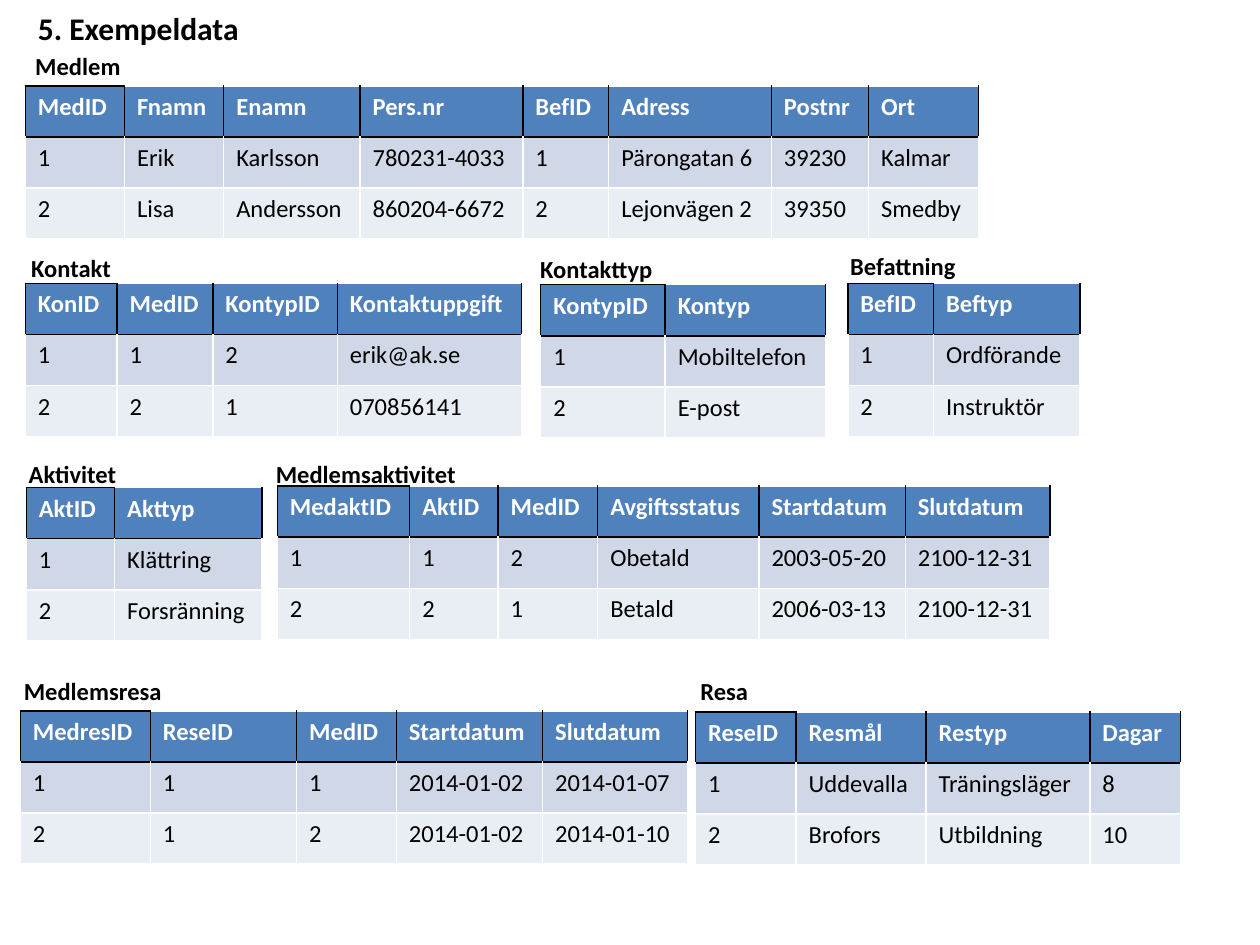
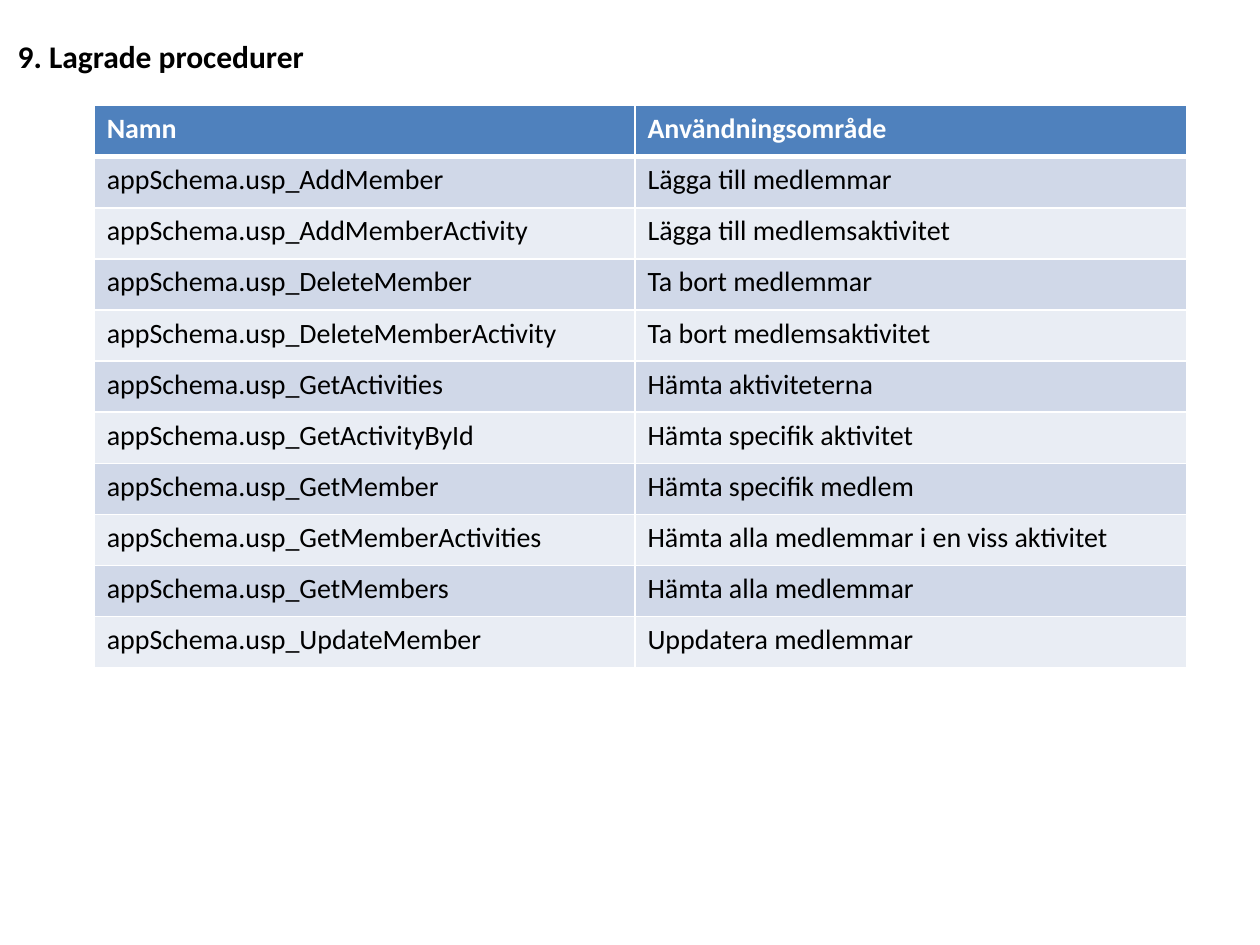
from dataclasses import dataclass

import pptx
import pptx.dml.color
import pptx.enum.text
import pptx.oxml
import pptx.oxml.ns
import pptx.util
from pptx.util import Cm

# Shared look
FONT = "Calibri"
BLACK, WHITE, BLUE = "000000", "FFFFFF", "4F81BD"
BANDS = ("D0D8E8", "E9EDF4")
ROW = 1.03
LABEL = 0.86
TITLE = (18.01, 1.02)


@dataclass
class Grid:
    """A table: place and column widths in cm, text rows, header first."""
    left: float
    top: float
    cols: list[float]
    rows: list[list[str]]
    size: int = 14
    boxed: bool = True


@dataclass
class Label:
    """The bold name above a table, placed in cm."""
    text: str
    left: float
    top: float
    width: float = 3.81


def paint(target, color: str) -> None:
    """Give a font or a fill one colour."""
    rgb = pptx.dml.color.RGBColor.from_string(color)
    if hasattr(target, "solid"):
        target.solid()
        target.fore_color.rgb = rgb
    else:
        target.color.rgb = rgb


def write(frame, text: str, size: int, color: str, bold: bool) -> None:
    para = frame.paragraphs[0]
    para.alignment = pptx.enum.text.PP_ALIGN.LEFT
    run = para.add_run()
    run.text = text
    run.font.name = FONT
    run.font.size = pptx.util.Pt(size)
    run.font.bold = bold
    paint(run.font, color)


def edge(cell, side: str, color: str, width: float) -> None:
    """Draw one border of a cell; side is L, R, T or B."""
    space = pptx.oxml.ns.nsdecls("a")
    line = pptx.oxml.parse_xml(
        f'<a:ln{side} {space} w="{int(pptx.util.Pt(width))}"><a:solidFill>'
        f'<a:srgbClr val="{color}"/></a:solidFill></a:ln{side}>')
    cell._tc.get_or_add_tcPr().append(line)


def border(cell, row: int, col: int, boxed: bool) -> None:
    """Black header box or white header rule, white lines elsewhere."""
    head = BLACK if boxed else WHITE
    rule = 1 if boxed else 3
    side = head if row == 0 else WHITE
    edge(cell, "L", side, 1)
    edge(cell, "R", side, 1)
    if row == 0:
        edge(cell, "T", head if col == 0 else WHITE, 1)
        edge(cell, "B", head, rule)
    else:
        edge(cell, "T", *((head, rule) if row == 1 else (WHITE, 1)))
        edge(cell, "B", WHITE, 1)


def add_grid(slide, grid: Grid) -> None:
    frame = slide.shapes.add_table(
        len(grid.rows), len(grid.cols), Cm(grid.left), Cm(grid.top),
        Cm(sum(grid.cols)), Cm(ROW * len(grid.rows)))
    table = frame.table
    for col, width in zip(table.columns, grid.cols):
        col.width = Cm(width)
    for r, texts in enumerate(grid.rows):
        table.rows[r].height = Cm(ROW)
        head = r == 0
        for c, text in enumerate(texts):
            cell = table.cell(r, c)
            border(cell, r, c, grid.boxed)
            paint(cell.fill, BLUE if head else BANDS[(r - 1) % 2])
            write(cell.text_frame, text, grid.size,
                  WHITE if head else BLACK, head)


def add_label(slide, label: Label) -> None:
    box = slide.shapes.add_textbox(Cm(label.left), Cm(label.top),
                                   Cm(label.width), Cm(LABEL))
    box.text_frame.word_wrap = True
    write(box.text_frame, label.text, 14, BLACK, True)


def add_slide(deck, title: str, left: float, top: float):
    """Start a title-only slide with its title in place."""
    slide = deck.slides.add_slide(deck.slide_layouts[5])
    shape = slide.shapes.title
    shape.left, shape.top = Cm(left), Cm(top)
    shape.width, shape.height = (Cm(n) for n in TITLE)
    frame = shape.text_frame
    frame.word_wrap = True
    frame.auto_size = pptx.enum.text.MSO_AUTO_SIZE.NONE
    frame.vertical_anchor = pptx.enum.text.MSO_ANCHOR.TOP
    write(frame, title, 18, BLACK, True)
    return slide


# Sample data, one label and table per relation
SAMPLES = [
    (Label("Medlem", 0.46, 0.91), Grid(
        0.51, 1.73, [2.0, 2.0, 2.75, 3.28, 1.73, 3.28, 1.96, 2.22], [
            ["MedID", "Fnamn", "Enamn", "Pers.nr", "BefID", "Adress",
             "Postnr", "Ort"],
            ["1", "Erik", "Karlsson", "780231-4033", "1", "Pärongatan 6",
             "39230", "Kalmar"],
            ["2", "Lisa", "Andersson", "860204-6672", "2", "Lejonvägen 2",
             "39350", "Smedby"]])),
    (Label("Kontakt", 0.38, 4.98), Grid(
        0.51, 5.71, [1.85, 1.93, 2.51, 3.71], [
            ["KonID", "MedID", "KontypID", "Kontaktuppgift"],
            ["1", "1", "2", "erik@ak.se"],
            ["2", "2", "1", "070856141"]])),
    (Label("Kontakttyp", 10.64, 5.0), Grid(
        10.9, 5.74, [2.51, 3.23], [
            ["KontypID", "Kontyp"],
            ["1", "Mobiltelefon"],
            ["2", "E-post"]])),
    (Label("Befattning", 16.89, 4.93), Grid(
        17.09, 5.71, [1.73, 2.95], [
            ["BefID", "Beftyp"],
            ["1", "Ordförande"],
            ["2", "Instruktör"]])),
    (Label("Medlemsresa", 0.23, 13.51), Grid(
        0.41, 14.33, [2.62, 2.95, 2.01, 2.95, 2.92], [
            ["MedresID", "ReseID", "MedID", "Startdatum", "Slutdatum"],
            ["1", "1", "1", "2014-01-02", "2014-01-07"],
            ["2", "1", "2", "2014-01-02", "2014-01-10"]])),
    (Label("Resa", 13.87, 13.51), Grid(
        14.02, 14.35, [2.03, 2.62, 3.3, 1.83], [
            ["ReseID", "Resmål", "Restyp", "Dagar"],
            ["1", "Uddevalla", "Träningsläger", "8"],
            ["2", "Brofors", "Utbildning", "10"]])),
    (Label("Aktivitet", 0.33, 9.12), Grid(
        0.53, 9.83, [1.78, 2.97], [
            ["AktID", "Akttyp"],
            ["1", "Klättring"],
            ["2", "Forsränning"]])),
    (Label("Medlemsaktivitet", 5.31, 9.12, 4.34), Grid(
        5.59, 9.8, [2.67, 1.78, 2.01, 3.25, 2.95, 2.92], [
            ["MedaktID", "AktID", "MedID", "Avgiftsstatus", "Startdatum",
             "Slutdatum"],
            ["1", "1", "2", "Obetald", "2003-05-20", "2100-12-31"],
            ["2", "2", "1", "Betald", "2006-03-13", "2100-12-31"]])),
]

# Stored procedures and their use
PROCS = [
    ("AddMember", "Lägga till medlemmar"),
    ("AddMemberActivity", "Lägga till medlemsaktivitet"),
    ("DeleteMember", "Ta bort medlemmar"),
    ("DeleteMemberActivity", "Ta bort medlemsaktivitet"),
    ("GetActivities", "Hämta aktiviteterna"),
    ("GetActivityById", "Hämta specifik aktivitet"),
    ("GetMember", "Hämta specifik medlem"),
    ("GetMemberActivities", "Hämta alla medlemmar i en viss aktivitet"),
    ("GetMembers", "Hämta alla medlemmar"),
    ("UpdateMember", "Uppdatera medlemmar"),
]

deck = pptx.Presentation()
deck.slide_width, deck.slide_height = Cm(25.4), Cm(19.05)

# Slide 1: sample data
slide = add_slide(deck, "5. Exempeldata", 0.51, 0.05)
for label, grid in SAMPLES:
    add_grid(slide, grid)
    add_label(slide, label)

# Slide 2: stored procedures
slide = add_slide(deck, "9. Lagrade procedurer", 0.1, 0.61)
rows = [["Namn", "Användningsområde"]]
rows += [[f"appSchema.usp_{name}", use] for name, use in PROCS]
add_grid(slide, Grid(1.9, 2.13, [10.9, 11.13], rows, size=16, boxed=False))

deck.save("out.pptx")
